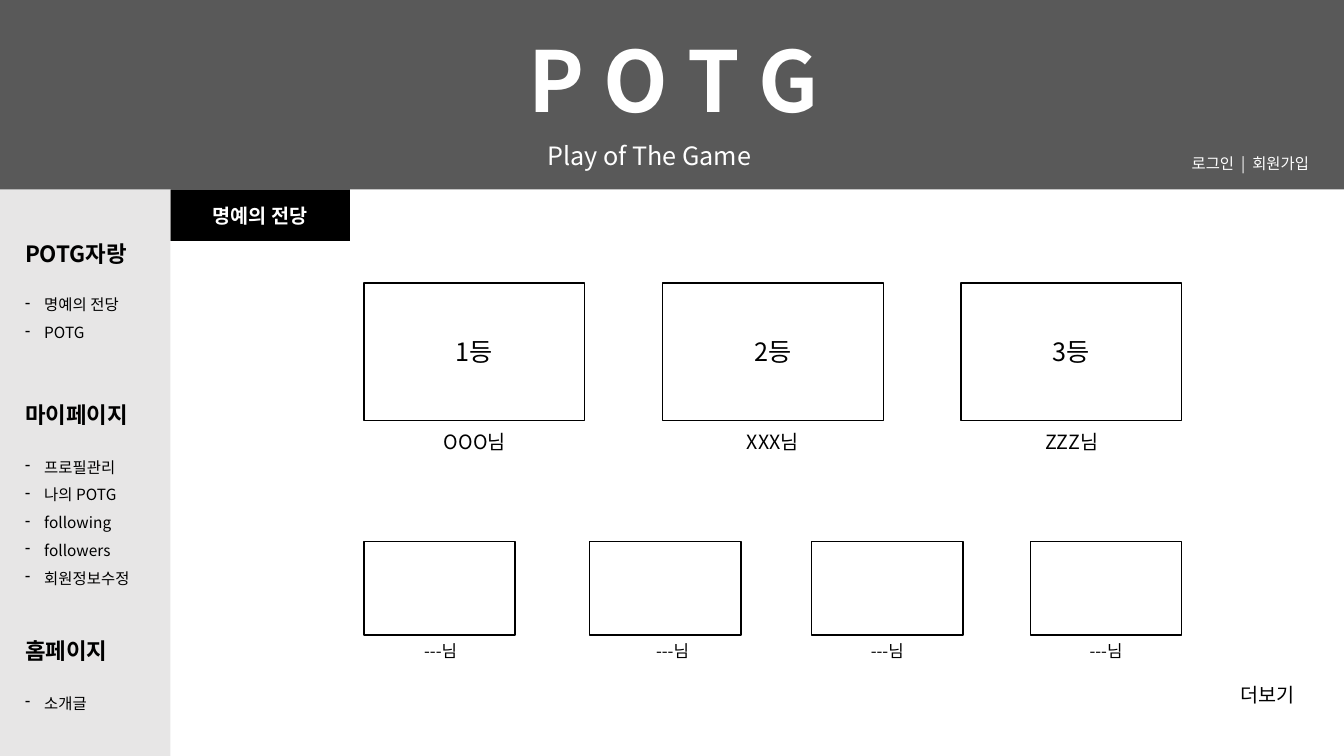
"""Build the POTG hall of fame page wireframe."""
from dataclasses import dataclass

from pptx import Presentation
from pptx.dml.color import RGBColor
from pptx.enum.shapes import MSO_SHAPE
from pptx.enum.text import MSO_ANCHOR, MSO_AUTO_SIZE, PP_ALIGN
from pptx.oxml.ns import qn
from pptx.slide import Slide
from pptx.text.text import TextFrame
from pptx.util import Pt
from lxml import etree

RECT = MSO_SHAPE.RECTANGLE
MIDDLE = MSO_ANCHOR.MIDDLE
GROW = MSO_AUTO_SIZE.SHAPE_TO_FIT_TEXT
LEFT, CENTER, JUST = PP_ALIGN.LEFT, PP_ALIGN.CENTER, PP_ALIGN.JUSTIFY
SCALE = 9144
FONT = "Noto Sans CJK KR"
COLORS = {
    "black": "000000",
    "white": "FFFFFF",
    "gray": "595959",
    "pale": "E7E6E6",
}


@dataclass
class Style:
    size: int
    color: str = "black"
    bold: bool = False
    align: PP_ALIGN = LEFT
    bullet: bool = False


@dataclass
class Box:
    left: int
    top: int
    width: int
    height: int
    text: str = ""
    fill: str = ""
    style: Style | None = None


@dataclass
class Label:
    left: int
    top: int
    width: int
    height: int
    text: str
    style: Style
    wrap: bool = False


@dataclass
class Menu:
    top: int
    gap: int
    head: str
    head_width: int
    items: str
    width: int
    height: int


RANK = Style(18, align=CENTER)
NAME = Style(14, align=CENTER)
SMALL = Style(12, align=CENTER)
HEAD = Style(16, bold=True)
ITEM = Style(11, bullet=True)

PANELS = [
    Box(169, 188, 178, 51, "명예의 전당", "black", Style(14, "white", True, CENTER)),
    Box(0, 148, 169, 602, fill="pale"),
    Box(0, 0, 1333, 188, fill="gray"),
]
LABELS = [
    Label(1172, 148, 160, 29, "로그인  |  회원가입", Style(11, "white"), True),
    Label(500, 23, 336, 111, "P O T G", Style(60, "white", True, CENTER), True),
    Label(533, 134, 267, 40, "Play of The Game", Style(18, "white", align=JUST), True),
    Label(1218, 673, 79, 34, "더보기", NAME),
]
WINNERS = [("OOO님", 86), ("XXX님", 75), ("ZZZ님", 74)]
OTHERS = [(361, 408), (585, 638), (805, 851), (1022, 1068)]
MENUS = [
    Menu(233, 46, "POTG자랑", 124, "명예의 전당\nPOTG", 122, 66),
    Menu(393, 47, "마이페이지", 132,
         "프로필관리\n나의 POTG\nfollowing\nfollowers\n회원정보수정", 132, 145),
    Menu(627, 47, "홈페이지", 110, "소개글", 85, 38),
]


def rgb(name: str) -> RGBColor:
    return RGBColor.from_string(COLORS[name])


def write(frame: TextFrame, text: str, style: Style) -> None:
    frame.text = text
    for para in frame.paragraphs:
        para.alignment = style.align
        if style.bullet:
            para.line_spacing = 1.5
            props = para._p.get_or_add_pPr()
            props.set("marL", str(19 * SCALE))
            props.set("indent", str(-19 * SCALE))
            etree.SubElement(props, qn("a:buChar")).set("char", "-")
        for run in para.runs:
            font = run.font
            font.name = FONT
            font.size = Pt(style.size)
            font.bold = style.bold
            font.color.rgb = rgb(style.color)
            latin = run._r.get_or_add_rPr().find(qn("a:latin"))
            east = etree.Element(qn("a:ea"))
            east.set("typeface", FONT)
            latin.addnext(east)


def draw_box(slide: Slide, box: Box) -> None:
    sides = (n * SCALE for n in (box.left, box.top, box.width, box.height))
    shape = slide.shapes.add_shape(RECT, *sides)
    shape.shadow.inherit = False
    if box.fill:
        shape.fill.solid()
        shape.fill.fore_color.rgb = rgb(box.fill)
        shape.line.fill.background()
    else:
        shape.fill.background()
        shape.line.color.rgb = rgb("black")
        shape.line.width = Pt(1)
    if box.style:
        shape.text_frame.vertical_anchor = MIDDLE
        write(shape.text_frame, box.text, box.style)


def draw_label(slide: Slide, label: Label) -> None:
    sides = (n * SCALE for n in (label.left, label.top, label.width, label.height))
    frame = slide.shapes.add_textbox(*sides).text_frame
    frame.word_wrap = label.wrap
    frame.auto_size = GROW
    write(frame, label.text, label.style)


def main() -> None:
    deck = Presentation()
    deck.slide_width = 1333 * SCALE
    deck.slide_height = 750 * SCALE
    slide = deck.slides.add_slide(deck.slide_layouts[6])
    for panel in PANELS:
        draw_box(slide, panel)
    for label in LABELS:
        draw_label(slide, label)
    for i, (name, width) in enumerate(WINNERS):
        left = 361 + 296 * i
        draw_box(slide, Box(left, 281, 219, 136, f"{i + 1}등", style=RANK))
        start = left + (219 - width + 1) // 2
        draw_label(slide, Label(start, 422, width, 34, name, NAME))
    for left, start in OTHERS:
        draw_box(slide, Box(left, 537, 150, 93))
        draw_label(slide, Label(start, 631, 58, 30, "---님", SMALL))
    for menu in MENUS:
        draw_label(slide, Label(15, menu.top, menu.head_width, 37, menu.head, HEAD))
        top = menu.top + menu.gap
        draw_label(slide, Label(15, top, menu.width, menu.height, menu.items, ITEM))
    deck.save("out.pptx")


if __name__ == "__main__":
    main()
